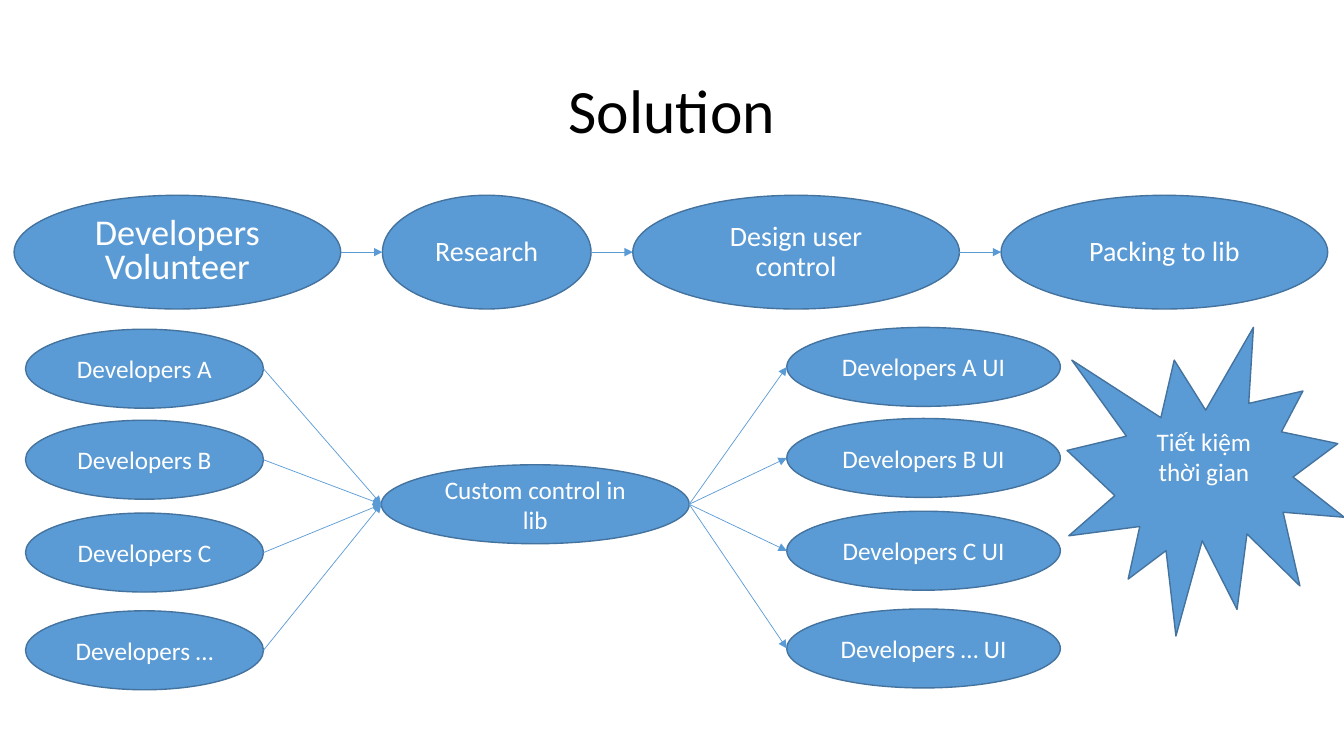
import pptx
import pptx.util
import pptx.dml.color
import pptx.enum.shapes
import pptx.enum.text
import pptx.oxml.ns
from lxml import etree

Pt = pptx.util.Pt
SHAPES = pptx.enum.shapes.MSO_SHAPE

TITLE = "Solution"
STEPS = [
    ("Developers Volunteer", 233.3, "lead", 0.8),
    ("Research", 149, "step", 0.9),
    ("Design user control", 233.3, "step", 0.9),
    ("Packing to lib", 233.3, "step", 0.9),
]
DEVELOPERS = [
    ("Developers A", 235.2),
    ("Developers B", 300.2),
    ("Developers C", 366.5),
    ("Developers …", 436.3),
]
LIBRARY = "Custom control in lib"
BENEFIT = "Tiết kiệm thời gian"

THEME = {
    "font": "Calibri",
    "fill": "5B9BD5",
    "outline": "43739E",
    "light": "FFFFFF",
    "dark": "000000",
    "title": 44,
    "lead": 25.9,
    "step": 20,
    "node": 18,
}

STEP_LEFT, STEP_TOP, STEP_HEIGHT, STEP_GAP = 10.1, 139.5, 81.2, 29.8
NODE_HEIGHT = 56.4
DEVELOPER_LEFT, DEVELOPER_WIDTH = 18.2, 170
SCREEN_LEFT, SCREEN_WIDTH, SCREEN_RISE = 562, 195.4, 1.3
LIBRARY_BOX = (272.4, 332, 219.9, NODE_HEIGHT)
BENEFIT_BOX = (762.2, 233.8, 198, 220.5)
TITLE_BOX = (66, 28.8, 828, 104.4)


def color(name):
    return pptx.dml.color.RGBColor.from_string(THEME[name])


def write(shape, text, size, ink, spacing=1.0):
    frame = shape.text_frame
    frame.word_wrap = True
    frame.vertical_anchor = pptx.enum.text.MSO_ANCHOR.MIDDLE
    frame.text = text
    paragraph = frame.paragraphs[0]
    paragraph.alignment = pptx.enum.text.PP_ALIGN.CENTER
    paragraph.line_spacing = spacing
    font = paragraph.runs[0].font
    font.name = THEME["font"]
    font.size = Pt(THEME[size])
    font.color.rgb = color(ink)


def add_node(slide, kind, box, text, size="node", spacing=1.0):
    shape = slide.shapes.add_shape(kind, *map(Pt, box))
    shape.shadow.inherit = False
    shape.fill.solid()
    shape.fill.fore_color.rgb = color("fill")
    shape.line.color.rgb = color("outline")
    shape.line.width = Pt(1)
    write(shape, text, size, "light", spacing)
    return shape


def add_arrow(slide, source, target):
    connector = slide.shapes.add_connector(
        pptx.enum.shapes.MSO_CONNECTOR.STRAIGHT,
        source.left + source.width, source.top + source.height // 2,
        target.left, target.top + target.height // 2,
    )
    connector.line.color.rgb = color("fill")
    connector.line.width = Pt(0.5)
    qn = pptx.oxml.ns.qn
    etree.SubElement(connector.line._get_or_add_ln(), qn("a:tailEnd"), type="triangle")
    etree.SubElement(connector._element.spPr, qn("a:effectLst"))


def add_steps(slide):
    left = STEP_LEFT
    previous = None
    for text, width, size, spacing in STEPS:
        box = (left, STEP_TOP, width, STEP_HEIGHT)
        step = add_node(slide, SHAPES.OVAL, box, text, size, spacing)
        if previous is not None:
            add_arrow(slide, previous, step)
        previous = step
        left += width + STEP_GAP


def add_developers(slide):
    library = add_node(slide, SHAPES.OVAL, LIBRARY_BOX, LIBRARY)
    for name, top in DEVELOPERS:
        developer_box = (DEVELOPER_LEFT, top, DEVELOPER_WIDTH, NODE_HEIGHT)
        screen_box = (SCREEN_LEFT, top - SCREEN_RISE, SCREEN_WIDTH, NODE_HEIGHT)
        developer = add_node(slide, SHAPES.OVAL, developer_box, name)
        screen = add_node(slide, SHAPES.OVAL, screen_box, f"{name} UI")
        add_arrow(slide, developer, library)
        add_arrow(slide, library, screen)


def main():
    presentation = pptx.Presentation()
    presentation.slide_width = Pt(960)
    presentation.slide_height = Pt(540)
    slide = presentation.slides.add_slide(presentation.slide_layouts[6])
    title = slide.shapes.add_textbox(*map(Pt, TITLE_BOX))
    write(title, TITLE, "title", "dark", 0.9)
    add_steps(slide)
    add_developers(slide)
    benefit = add_node(slide, SHAPES.EXPLOSION1, BENEFIT_BOX, BENEFIT)
    benefit.text_frame.margin_bottom = Pt(25.6)
    presentation.save("out.pptx")


if __name__ == "__main__":
    main()
